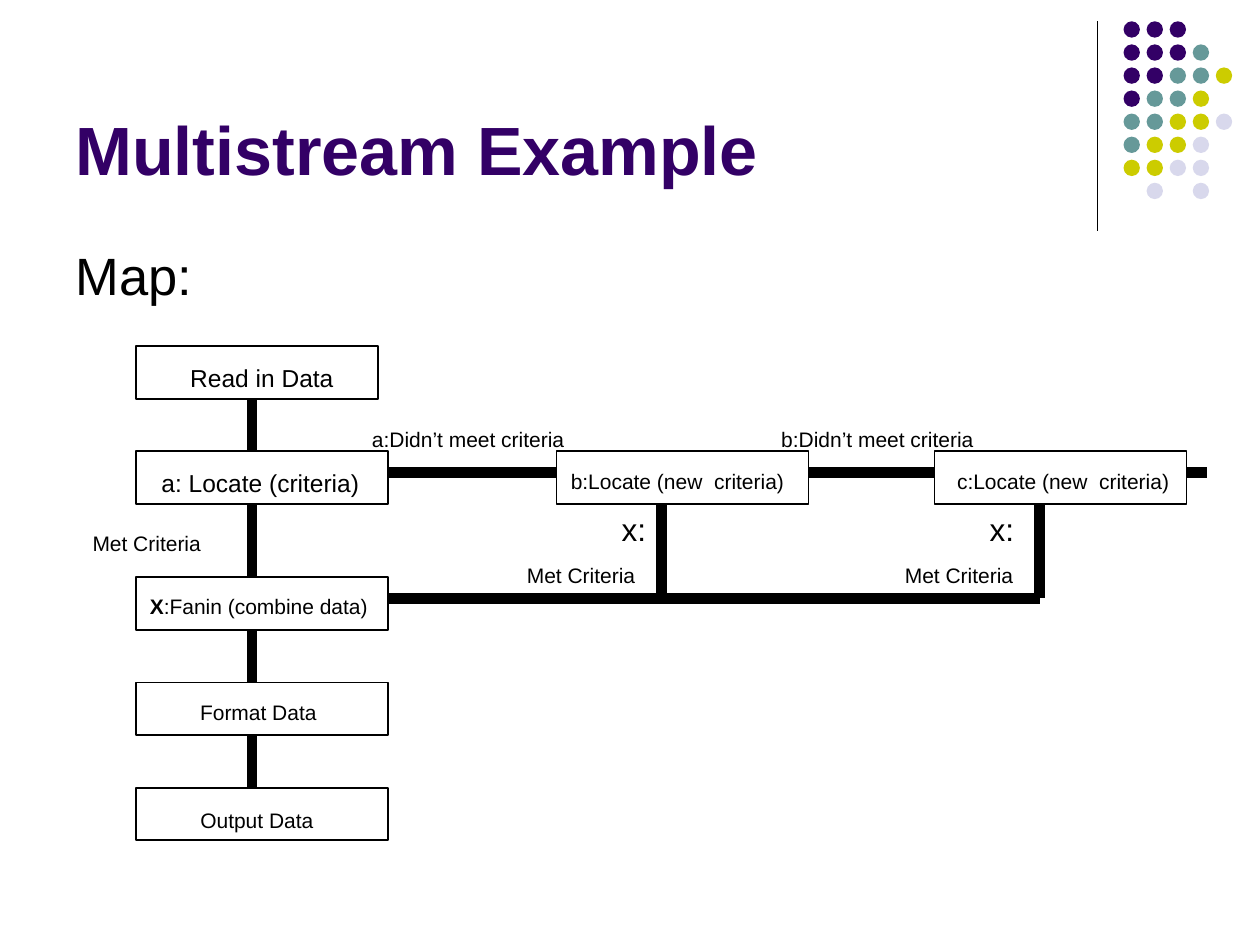
from dataclasses import dataclass

from lxml.etree import SubElement
from pptx import Presentation
from pptx.dml.color import RGBColor
from pptx.enum.shapes import MSO_CONNECTOR, MSO_SHAPE
from pptx.enum.text import MSO_ANCHOR, MSO_AUTO_SIZE, PP_ALIGN
from pptx.oxml.ns import qn
from pptx.util import Cm, Pt


@dataclass(frozen=True)
class Theme:
    font: str = "Arial"
    ink: str = "000000"
    purple: str = "330066"
    teal: str = "669999"
    lime: str = "CCCC00"
    pale: str = "D8D8EC"
    title: int = 39
    body: int = 30
    mark: int = 18
    step: int = 14
    label: int = 12
    rule: float = 0.75
    border: float = 1
    flow: float = 6


def add_text(tf, text, *, font, size, color, bold=False, align=PP_ALIGN.CENTER):
    p = tf.paragraphs[0]
    p.alignment = align
    r = p.add_run()
    r.text = text
    r.font.name = font
    r.font.size = Pt(size)
    r.font.bold = bold
    r.font.color.rgb = RGBColor.from_string(color)


class SlideBuilder:
    """Draw styled elements on one slide, with lengths in centimetres."""

    def __init__(self, slide, theme):
        self.slide = slide
        self.theme = theme

    def text(self, x, y, w, h, text, size, color=None, lead="", bold=False,
             align=PP_ALIGN.CENTER, wrap=False, grow=True, anchor=MSO_ANCHOR.TOP):
        sp = self.slide.shapes.add_textbox(Cm(x), Cm(y), Cm(w), Cm(h))
        tf = sp.text_frame
        tf.word_wrap = wrap
        tf.auto_size = MSO_AUTO_SIZE.SHAPE_TO_FIT_TEXT if grow else MSO_AUTO_SIZE.NONE
        tf.vertical_anchor = anchor
        style = dict(font=self.theme.font, size=size,
                     color=color or self.theme.ink, align=align)
        if lead:
            add_text(tf, lead, bold=True, **style)
        add_text(tf, text, bold=bold, **style)

    def box(self, x, y, w=5.08, h=1.06):
        sp = self.slide.shapes.add_shape(
            MSO_SHAPE.RECTANGLE, Cm(x), Cm(y), Cm(w), Cm(h))
        sp.shadow.inherit = False
        sp.fill.background()
        sp.line.color.rgb = RGBColor.from_string(self.theme.ink)
        sp.line.width = Pt(self.theme.border)

    def dot(self, x, y, color, size=0.33):
        sp = self.slide.shapes.add_shape(
            MSO_SHAPE.OVAL, Cm(x), Cm(y), Cm(size), Cm(size))
        sp.shadow.inherit = False
        sp.fill.solid()
        sp.fill.fore_color.rgb = RGBColor.from_string(color)
        sp.line.fill.background()

    def line(self, x1, y1, x2, y2, width):
        cn = self.slide.shapes.add_connector(
            MSO_CONNECTOR.STRAIGHT, Cm(x1), Cm(y1), Cm(x2), Cm(y2))
        cn.line.color.rgb = RGBColor.from_string(self.theme.ink)
        cn.line.width = Pt(width)
        SubElement(cn._element.spPr, qn("a:effectLst"))


def add_dots(b):
    t = b.theme
    colors = {"P": t.purple, "T": t.teal, "Y": t.lime, "L": t.pale}
    rows = ("PPP", "PPPT", "PPTTY", "PTTY", "TTYYL", "TYYL", "YYLL", " L L")
    pitch = 0.465
    for i, row in enumerate(rows):
        for j, key in enumerate(row):
            if key in colors:
                b.dot(22.65 + j * pitch, 0.43 + i * pitch, colors[key])


def add_flow(b):
    t = b.theme
    left, col_b, col_c = 2.75, 11.22, 18.84
    box_w, box_h = 5.08, 1.06
    rows = (6.98, 9.1, 11.64, 13.76, 15.88)
    locate = rows[1]
    for y in rows:
        b.box(left, y, 4.87 if y == rows[0] else box_w)
    for x in (col_b, col_c):
        b.box(x, locate)

    for upper, lower in zip(rows, rows[1:]):
        b.line(5.08, upper + box_h, 5.08, lower, t.flow)
    stream_y, merge_y = 9.52, 12.06
    for start, end in ((left, col_b), (col_b, col_c), (col_c, 24.34 )):
        b.line(start + box_w, stream_y, end, stream_y, t.flow)
    merge_x = left + box_w
    for x in (13.34, 20.96):
        b.line(merge_x, merge_y, x, merge_y, t.flow)
        b.line(x, locate + box_h, x, merge_y, t.flow)
        merge_x = x

    b.text(3.58, 7.2, 3.4, 0.84, "Read in Data", t.step)
    b.text(3, 9.32, 4.5, 0.84, "a: Locate (criteria)", t.step)
    b.text(col_b, 9.32, 4.88, 0.76, "b:Locate (new  criteria)", t.label, wrap=True)
    b.text(18.21, 9.32, 6.45, 1.27, "c:Locate (new  criteria)", t.label, wrap=True)
    b.text(2.77, 11.85, 4.9, 0.76, ":Fanin (combine data)", t.label, lead="X")
    b.text(3.6, 13.97, 3.22, 0.76, "Format Data", t.label, wrap=True)
    b.text(3.78, 16.15, 2.8, 0.76, "Output Data", t.label)
    b.text(1.27, 10.58, 3.38, 0.76, "Met Criteria", t.label, wrap=True)
    for x in (10.37, 17.99):
        b.text(x, 11.22, 2.69, 1.27, "Met Criteria", t.label)
    for x, stream in ((7.24, "a"), (15.49, "b")):
        b.text(x, 8.47, 4.4, 0.76, f"{stream}:Didn’t meet criteria", t.label)
    for x in (12.27, 19.69):
        b.text(x, 10.16, 1.02, 1.02, "x:", t.mark)


def main():
    prs = Presentation()
    prs.slide_width, prs.slide_height = Cm(25.4), Cm(19.05)
    t = Theme()
    b = SlideBuilder(prs.slides.add_slide(prs.slide_layouts[6]), t)
    b.line(22.12, 0.43, 22.12, 4.65, t.rule)
    add_dots(b)
    b.text(1.27, 0.34, 20.95, 3.6, "Multistream Example", t.title, t.purple, bold=True,
           align=PP_ALIGN.LEFT, wrap=True, grow=False, anchor=MSO_ANCHOR.BOTTOM)
    b.text(1.27, 4.77, 22.86, 12.24, "Map:", t.body,
           align=PP_ALIGN.LEFT, wrap=True, grow=False)
    add_flow(b)
    prs.save("out.pptx")


if __name__ == "__main__":
    main()
